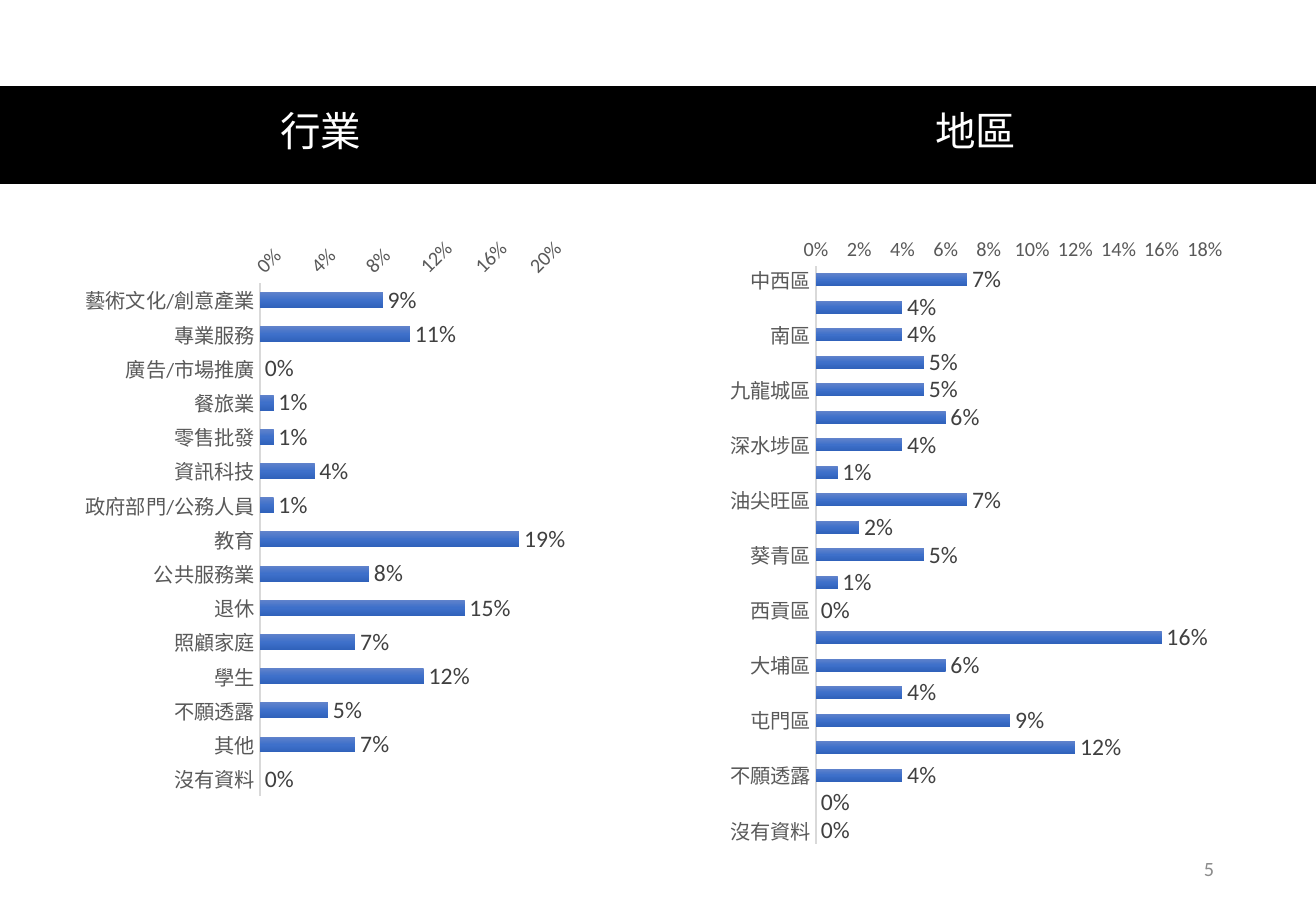
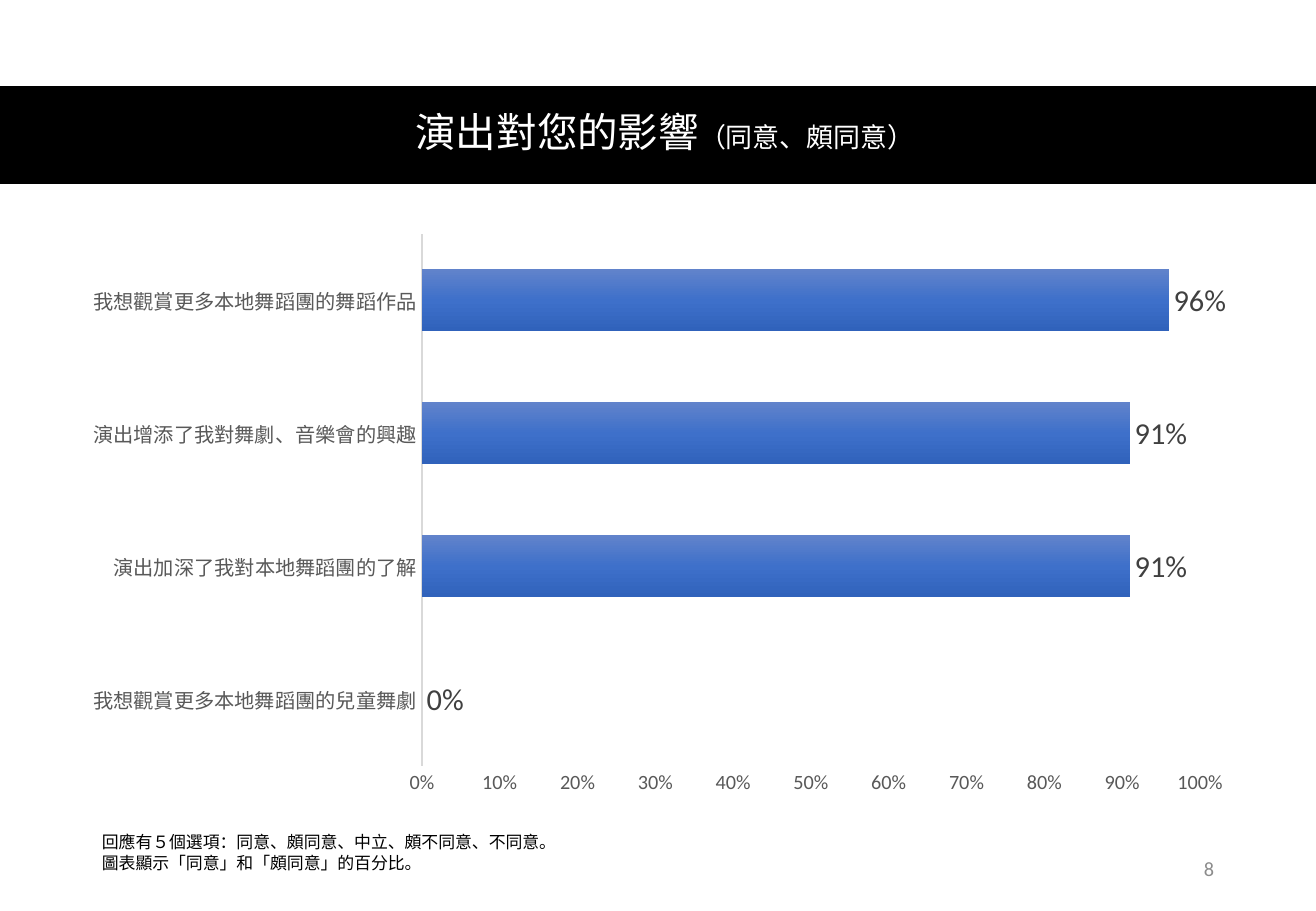
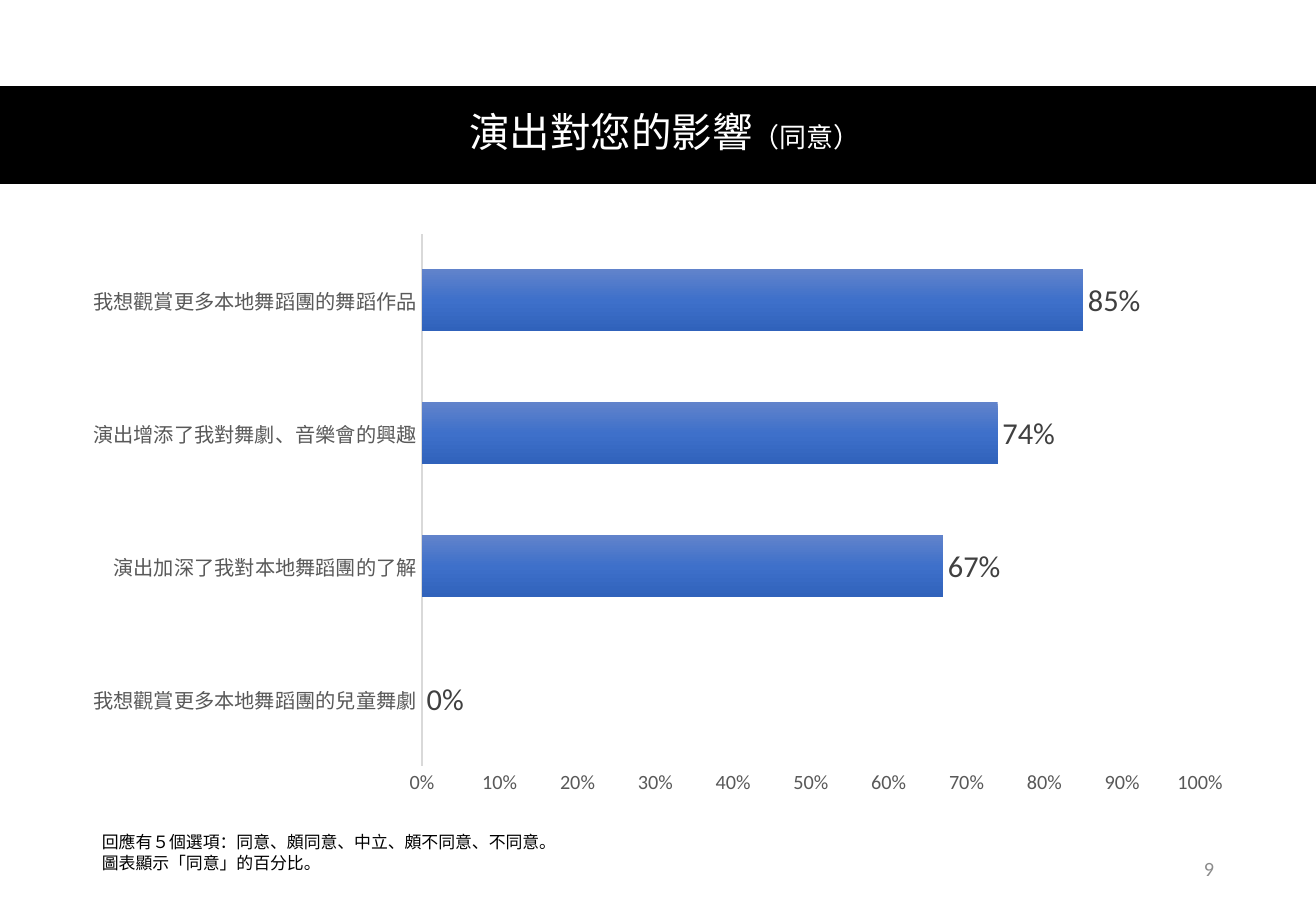
from pptx import Presentation
from pptx.chart.data import CategoryChartData
from pptx.dml.color import RGBColor
from pptx.enum.chart import XL_CHART_TYPE, XL_LABEL_POSITION, XL_TICK_MARK
from pptx.enum.shapes import MSO_SHAPE
from pptx.enum.text import MSO_ANCHOR, MSO_AUTO_SIZE, PP_ALIGN
from pptx.oxml import parse_xml
from pptx.oxml.ns import nsdecls, qn
from pptx.util import Emu, Pt

BAR = XL_CHART_TYPE.BAR_CLUSTERED
OUTSIDE_END = XL_LABEL_POSITION.OUTSIDE_END
NO_TICK = XL_TICK_MARK.NONE
MIDDLE = MSO_ANCHOR.MIDDLE
LEFT, CENTER, RIGHT = PP_ALIGN.LEFT, PP_ALIGN.CENTER, PP_ALIGN.RIGHT

EMU_PER_PX = 914400 / 121.5
SLIDE_W, SLIDE_H = 1316, 911
BAND = (0, 86, SLIDE_W, 98)
PAGE_NUMBER = (929, 844, 297, 49)
NOTE = (90, 826, 485, 53)

BLACK, WHITE = "000000", "FFFFFF"
AXIS_TEXT, AXIS_LINE, LABEL_TEXT, PAGE_TEXT = "595959", "D9D9D9", "404040", "8C8C8C"
BAR_GRADIENT = ((0, "6183CB"), (50, "3E70CA"), (100, "3062BB"))
HEADING_FONT, CHART_FONT, NOTE_FONT = "Roboto", "Calibri", "Arial"

INDUSTRIES = [
    ("藝術文化/創意產業", 0.09), ("專業服務", 0.11), ("廣告/市場推廣", 0),
    ("餐旅業", 0.01), ("零售批發", 0.01), ("資訊科技", 0.04),
    ("政府部門/公務人員", 0.01), ("教育", 0.19), ("公共服務業", 0.08),
    ("退休", 0.15), ("照顧家庭", 0.07), ("學生", 0.12),
    ("不願透露", 0.05), ("其他", 0.07), ("沒有資料", 0),
]
DISTRICTS = [
    ("中西區", 0.07), ("東區", 0.04), ("南區", 0.04), ("灣仔區", 0.05),
    ("九龍城區", 0.05), ("觀塘區", 0.06), ("深水埗區", 0.04), ("黃大仙區", 0.01),
    ("油尖旺區", 0.07), ("離島區", 0.02), ("葵青區", 0.05), ("北區", 0.01),
    ("西貢區", 0), ("沙田區", 0.16), ("大埔區", 0.06), ("荃灣區", 0.04),
    ("屯門區", 0.09), ("元朗區", 0.12), ("不願透露", 0.04), ("其他", 0),
    ("沒有資料", 0),
]
IMPACTS = [
    "我想觀賞更多本地舞蹈團的兒童舞劇",
    "演出加深了我對本地舞蹈團的了解",
    "演出增添了我對舞劇、音樂會的興趣",
    "我想觀賞更多本地舞蹈團的舞蹈作品",
]
OPTIONS_NOTE = "回應有５個選項：同意、頗同意、中立、頗不同意、不同意。"

# "plot" is the area inside the axes, in slide pixels
INDUSTRY_CHART = dict(box=(64, 225, 513, 584), plot=(260, 283, 273, 513),
                      top=0.2, step=0.04, label_size=14, reverse=True, turn=-45)
DISTRICT_CHART = dict(box=(721, 225, 513, 633), plot=(816, 266, 389, 578),
                      top=0.18, step=0.02, label_size=14, reverse=True)
IMPACT_CHART = dict(box=(69, 222, 1177, 584), plot=(422, 234, 778, 532),
                    top=1, step=0.1, label_size=18)


def impact_slide(page, answers, shown, values):
    return dict(
        page=page,
        headings=[((60, 85, 1210, 98), [("演出對您的影響", 24), (f"（{answers}）", 16)])],
        charts=[(list(zip(IMPACTS, values)), IMPACT_CHART)],
        note=[OPTIONS_NOTE, f"圖表顯示{shown}的百分比。"],
    )


SLIDES = [
    dict(
        page=5,
        headings=[((95, 84, 452, 98), [("行業", 24)]),
                  ((750, 84, 452, 98), [("地區", 24)])],
        charts=[(INDUSTRIES, INDUSTRY_CHART), (DISTRICTS, DISTRICT_CHART)],
        note=[],
    ),
    impact_slide(8, "同意、頗同意", "「同意」和「頗同意」", (0, 0.91, 0.91, 0.96)),
    impact_slide(9, "同意", "「同意」", (0, 0.67, 0.74, 0.85)),
]


def px(length):
    return Emu(round(length * EMU_PER_PX))


def place(box):
    return [px(length) for length in box]


def rgb(code):
    return RGBColor.from_string(code)


def style_font(font, name, size, color):
    font.name, font.size = name, Pt(size)
    font.color.rgb = rgb(color)


def write(frame, paragraphs, font, color, align, spacing=None):
    """Fill a text frame; each paragraph is a list of (text, size) runs."""
    for index, runs in enumerate(paragraphs):
        paragraph = frame.add_paragraph() if index else frame.paragraphs[0]
        paragraph.alignment = align
        paragraph.line_spacing = spacing
        for text, size in runs:
            run = paragraph.add_run()
            run.text = text
            style_font(run.font, font, size, color)


def add_band(slide):
    band = slide.shapes.add_shape(MSO_SHAPE.RECTANGLE, *place(BAND))
    band.shadow.inherit = False
    band.fill.solid()
    band.fill.fore_color.rgb = rgb(BLACK)
    band.line.fill.background()
    slide.shapes.title._element.addprevious(band._element)


def add_headings(slide, headings):
    """The first heading is the slide title, any other a text box like it."""
    for index, (box, runs) in enumerate(headings):
        if index:
            heading = slide.shapes.add_textbox(*place(box))
        else:
            heading = slide.shapes.title
            heading.left, heading.top, heading.width, heading.height = place(box)
        frame = heading.text_frame
        frame.word_wrap = True
        frame.auto_size = MSO_AUTO_SIZE.NONE
        frame.vertical_anchor = MIDDLE
        write(frame, [runs], HEADING_FONT, WHITE, CENTER, 0.9)


def fix_plot(chart, box, plot):
    """Pin the area inside the axes, as fractions of the chart frame."""
    fractions = dict(x=(plot[0] - box[0]) / box[2], y=(plot[1] - box[1]) / box[3],
                     w=plot[2] / box[2], h=plot[3] / box[3])
    modes = "".join(f'<c:{side}Mode val="edge"/>' for side in "xy")
    sizes = "".join(f'<c:{key} val="{part:.4f}"/>' for key, part in fractions.items())
    area = chart._chartSpace.chart.plotArea
    for layout in area.findall(qn("c:layout")):
        area.remove(layout)
    area.insert(0, parse_xml(
        f'<c:layout {nsdecls("c")}><c:manualLayout><c:layoutTarget val="inner"/>'
        f'{modes}{sizes}</c:manualLayout></c:layout>'))


def fill_bars(series):
    fill = series.format.fill
    fill.gradient()
    fill.gradient_angle = 270
    stops = "".join(f'<a:gs pos="{percent * 1000}"><a:srgbClr val="{color}"/></a:gs>'
                    for percent, color in BAR_GRADIENT)
    old = next(series._element.iter(qn("a:gsLst")))
    old.getparent().replace(old, parse_xml(f'<a:gsLst {nsdecls("a")}>{stops}</a:gsLst>'))


def add_bars(slide, rows, box, plot, top, step, label_size, reverse=False, turn=0):
    data = CategoryChartData(number_format="0%")
    data.categories = [name for name, _ in rows]
    data.add_series("Series 1", [value for _, value in rows])
    chart = slide.shapes.add_chart(BAR, *place(box), data).chart
    chart.has_title = chart.has_legend = False
    style_font(chart.font, CHART_FONT, 10, BLACK)

    categories, values = chart.category_axis, chart.value_axis
    for axis in (categories, values):
        axis.major_tick_mark = axis.minor_tick_mark = NO_TICK
        axis.has_major_gridlines = False
        style_font(axis.tick_labels.font, CHART_FONT, 12, AXIS_TEXT)
    categories.reverse_order = reverse
    categories.format.line.color.rgb = rgb(AXIS_LINE)
    categories.format.line.width = Pt(1)
    values.format.line.fill.background()
    values.minimum_scale, values.maximum_scale, values.major_unit = 0, top, step
    values.tick_labels.number_format = "0%"
    values.tick_labels.number_format_is_linked = False
    next(values._element.iter(qn("a:bodyPr"))).set("rot", str(turn * 60000))

    bars = chart.plots[0]
    bars.gap_width, bars.overlap = 115, -20
    bars.vary_by_categories = False
    fill_bars(bars.series[0])
    bars.has_data_labels = True
    labels = bars.data_labels
    labels.show_value = True
    labels.number_format, labels.number_format_is_linked = "0%", False
    labels.position = OUTSIDE_END
    style_font(labels.font, CHART_FONT, label_size, LABEL_TEXT)
    fix_plot(chart, box, plot)


def add_page_number(slide, page):
    frame = slide.shapes.add_textbox(*place(PAGE_NUMBER)).text_frame
    frame.word_wrap = True
    frame.vertical_anchor = MIDDLE
    write(frame, [[(str(page), 12)]], CHART_FONT, PAGE_TEXT, RIGHT)


def add_note(slide, lines):
    frame = slide.shapes.add_textbox(*place(NOTE)).text_frame
    frame.word_wrap = False
    frame.auto_size = MSO_AUTO_SIZE.SHAPE_TO_FIT_TEXT
    write(frame, [[(line, 10)] for line in lines], NOTE_FONT, BLACK, LEFT)


def main():
    deck = Presentation()
    deck.slide_width, deck.slide_height = px(SLIDE_W), px(SLIDE_H)
    title_only = deck.slide_layouts[5]
    for content in SLIDES:
        slide = deck.slides.add_slide(title_only)
        add_band(slide)
        add_headings(slide, content["headings"])
        for rows, design in content["charts"]:
            add_bars(slide, rows, **design)
        add_page_number(slide, content["page"])
        if content["note"]:
            add_note(slide, content["note"])
    deck.save("out.pptx")


if __name__ == "__main__":
    main()
